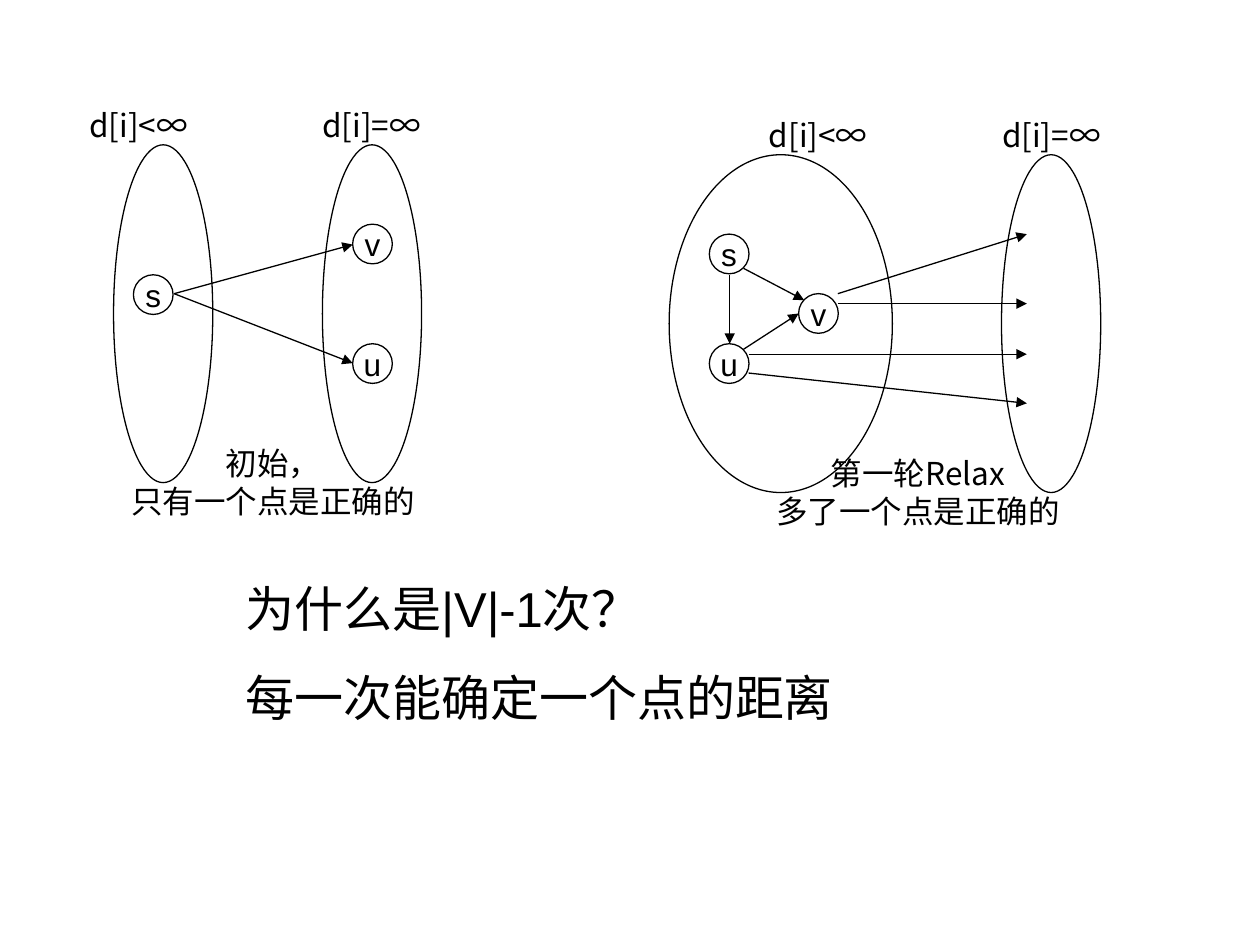
"""Build the slide explaining why relaxation runs |V|-1 rounds."""
from lxml import etree
from pptx import Presentation
from pptx import util as u
from pptx.dml.color import RGBColor
from pptx.enum import shapes, text
from pptx.oxml.ns import qn

COLORS = {"ink": "000000"}
FONTS = {"latin": "Arial", "chinese": "Noto Sans CJK SC"}
NODE_SIZE = 0.8
SET_HEIGHT = 6.81
LABEL_HEIGHT = 1.19
CONCLUSIONS = ["为什么是|V|-1次？", "每一次能确定一个点的距离"]
ROUNDS = [
    {
        "sets": [(13.49, 3.12, 4.5), (20.19, 3.12, 2.0)],
        "labels": [
            (["d[i]<∞"], 13.69, 2.13, 5.61),
            (["d[i]=∞"], 18.39, 2.13, 5.61),
            (["第一轮Relax", "多了一个点是正确的"], 15.7, 9.32, 5.61),
        ],
        "nodes": [("s", 14.3, 4.72), ("v", 16.1, 5.92), ("u", 14.3, 6.93)],
        "arrows": [
            (16.89, 5.92, 20.7, 4.72),
            (16.89, 6.12, 20.7, 6.12),
            (14.99, 5.41, 16.21, 6.05),
            (14.71, 5.54, 14.71, 6.93),
            (14.99, 7.04, 16.1, 6.32),
            (15.09, 7.14, 20.7, 7.14),
            (15.09, 7.52, 20.7, 8.13),
        ],
    },
    {
        "sets": [(2.29, 2.92, 2.0), (6.5, 2.92, 2.0)],
        "labels": [
            (["d[i]<∞"], 0, 1.93, 5.59),
            (["d[i]=∞"], 4.7, 1.93, 5.59),
            (["初始，", "只有一个点是正确的"], 1.9, 9.12, 7.21),
        ],
        "nodes": [("s", 2.69, 5.54), ("v", 7.11, 4.52), ("u", 7.11, 6.93)],
        "arrows": [(3.51, 5.92, 7.11, 4.93), (3.51, 5.92, 7.11, 7.32)],
    },
]


def write(frame, lines, size, font, alignment, space_before=0):
    for index, line in enumerate(lines):
        paragraph = frame.paragraphs[0] if index == 0 else frame.add_paragraph()
        paragraph.alignment = alignment
        paragraph.space_before = u.Pt(space_before)
        run = paragraph.add_run()
        run.text = line
        run.font.size = u.Pt(size)
        run.font.name = font
        run.font.color.rgb = RGBColor.from_string(COLORS["ink"])
        east_asian = etree.SubElement(run.font._element, qn("a:ea"))
        east_asian.set("typeface", FONTS["chinese"])


def draw_line(line):
    line.color.rgb = RGBColor.from_string(COLORS["ink"])
    line.width = u.Pt(0.75)


def add_oval(group, left, top, width, height, lines=(), font=None, outlined=True):
    box = [u.Cm(length) for length in (left, top, width, height)]
    shape = group.shapes.add_shape(shapes.MSO_SHAPE.OVAL, *box)
    shape.shadow.inherit = False
    shape.fill.background()
    if outlined:
        draw_line(shape.line)
    else:
        shape.line.fill.background()
    frame = shape.text_frame
    frame.word_wrap = False
    frame.vertical_anchor = text.MSO_ANCHOR.MIDDLE
    write(frame, lines, 18, font, text.PP_ALIGN.CENTER)


def add_arrow(group, *ends):
    arrow = group.shapes.add_connector(
        shapes.MSO_CONNECTOR.STRAIGHT, *[u.Cm(end) for end in ends])
    draw_line(arrow.line)
    etree.SubElement(arrow.line._get_or_add_ln(), qn("a:tailEnd")).set("type", "triangle")
    etree.SubElement(arrow._element.spPr, qn("a:effectLst"))


def add_round(slide, content):
    group = slide.shapes.add_group_shape()
    for left, top, width in content["sets"]:
        add_oval(group, left, top, width, SET_HEIGHT)
    for lines, left, top, width in content["labels"]:
        add_oval(group, left, top, width, LABEL_HEIGHT, lines, FONTS["chinese"], False)
    for name, left, top in content["nodes"]:
        add_oval(group, left, top, NODE_SIZE, NODE_SIZE, [name], FONTS["latin"])
    for ends in content["arrows"]:
        add_arrow(group, *ends)


def add_conclusions(slide):
    title = slide.shapes.title._element
    title.getparent().remove(title)
    body = slide.placeholders[1]
    body.left, body.top, body.width, body.height = (
        u.Cm(length) for length in (4.7, 11.53, 14.6, 5.05))
    frame = body.text_frame
    frame.auto_size = text.MSO_AUTO_SIZE.NONE
    write(frame, CONCLUSIONS, 28, FONTS["latin"], text.PP_ALIGN.LEFT, 17.5)
    for paragraph in frame.paragraphs:
        properties = paragraph._p.get_or_add_pPr()
        properties.set("marL", "0")
        properties.set("indent", "0")
        etree.SubElement(properties, qn("a:buNone"))


def main():
    presentation = Presentation()
    presentation.slide_width = u.Cm(25.4)
    presentation.slide_height = u.Cm(19.05)
    slide = presentation.slides.add_slide(presentation.slide_layouts[1])
    for content in ROUNDS:
        add_round(slide, content)
    add_conclusions(slide)
    presentation.save("out.pptx")


if __name__ == "__main__":
    main()
